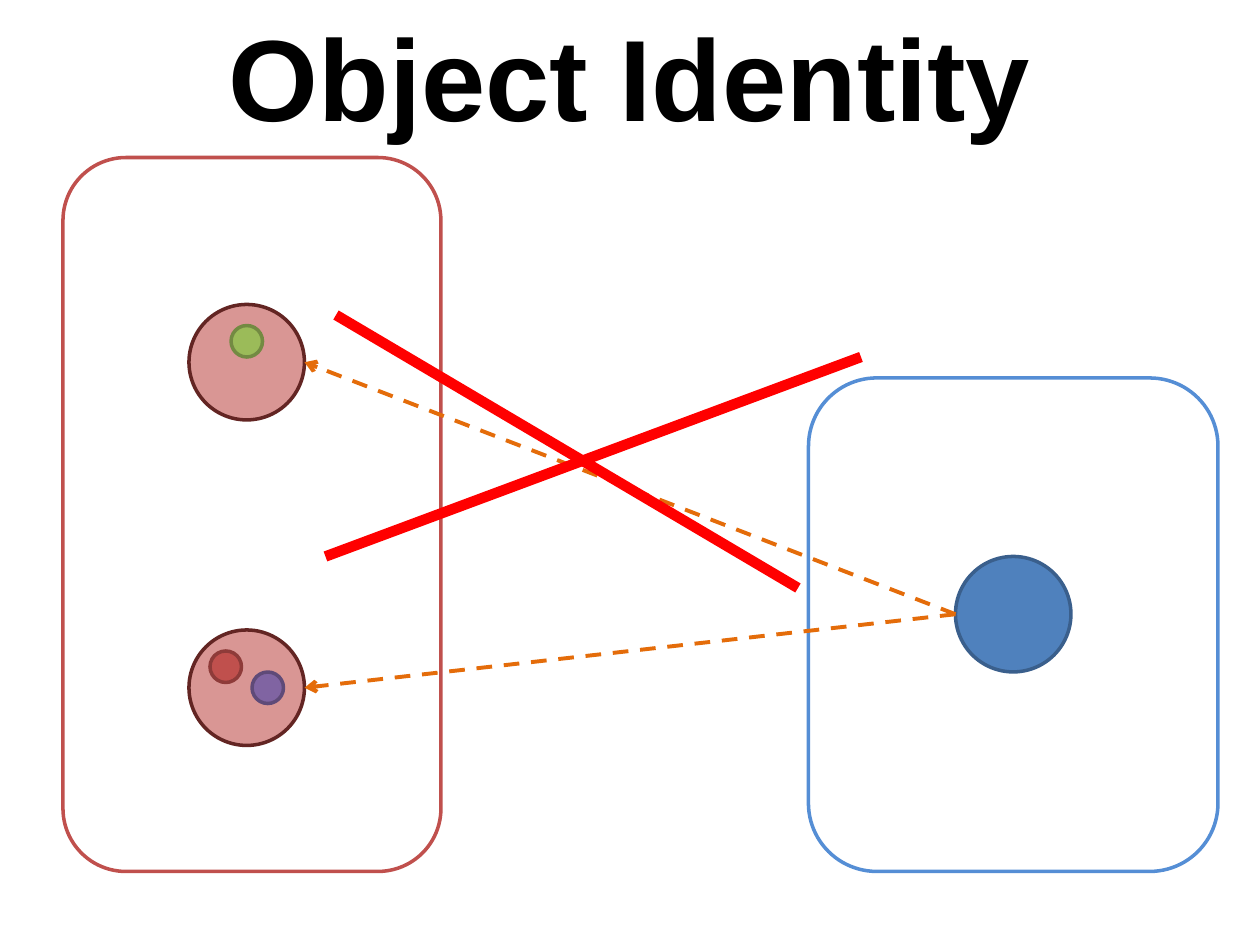
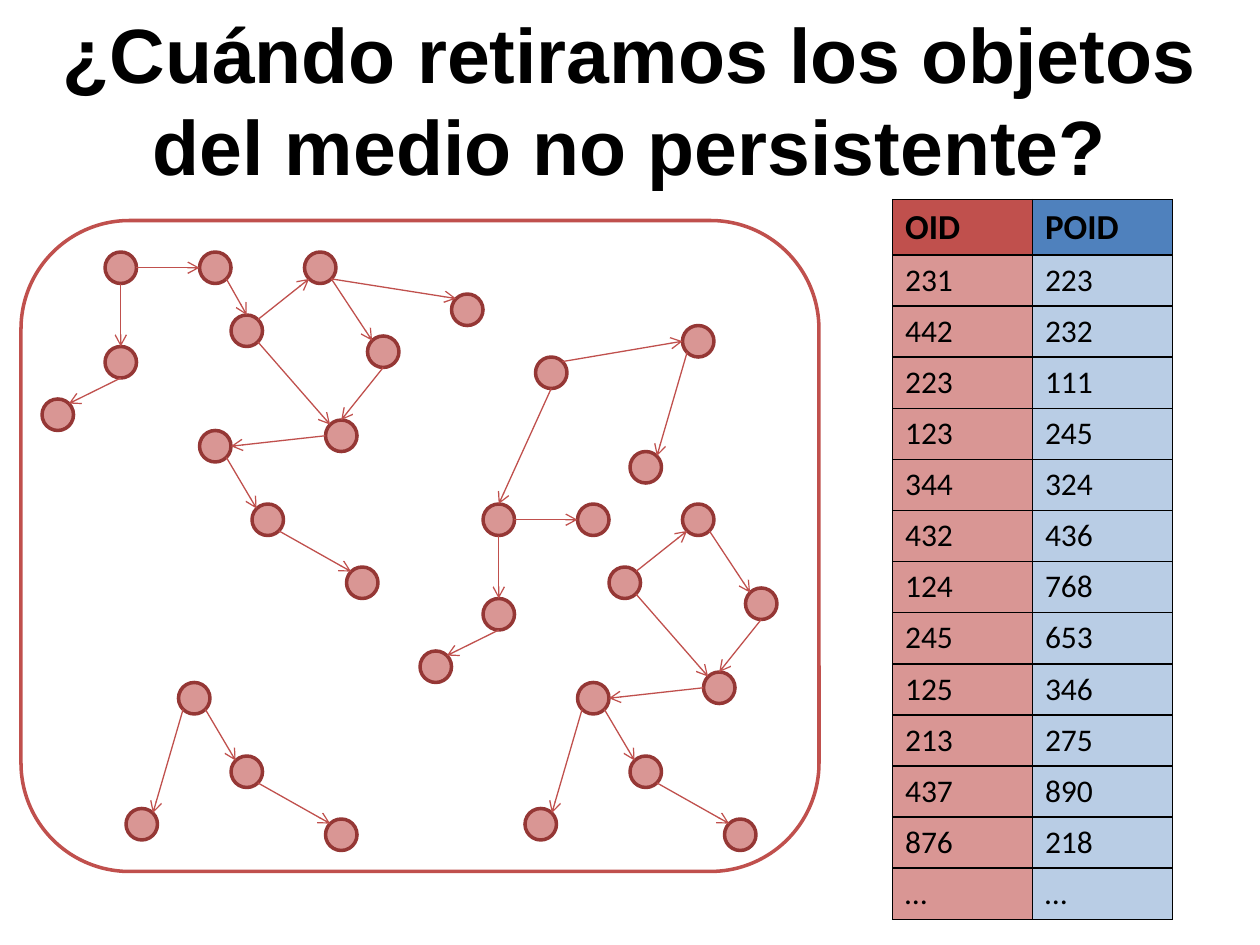
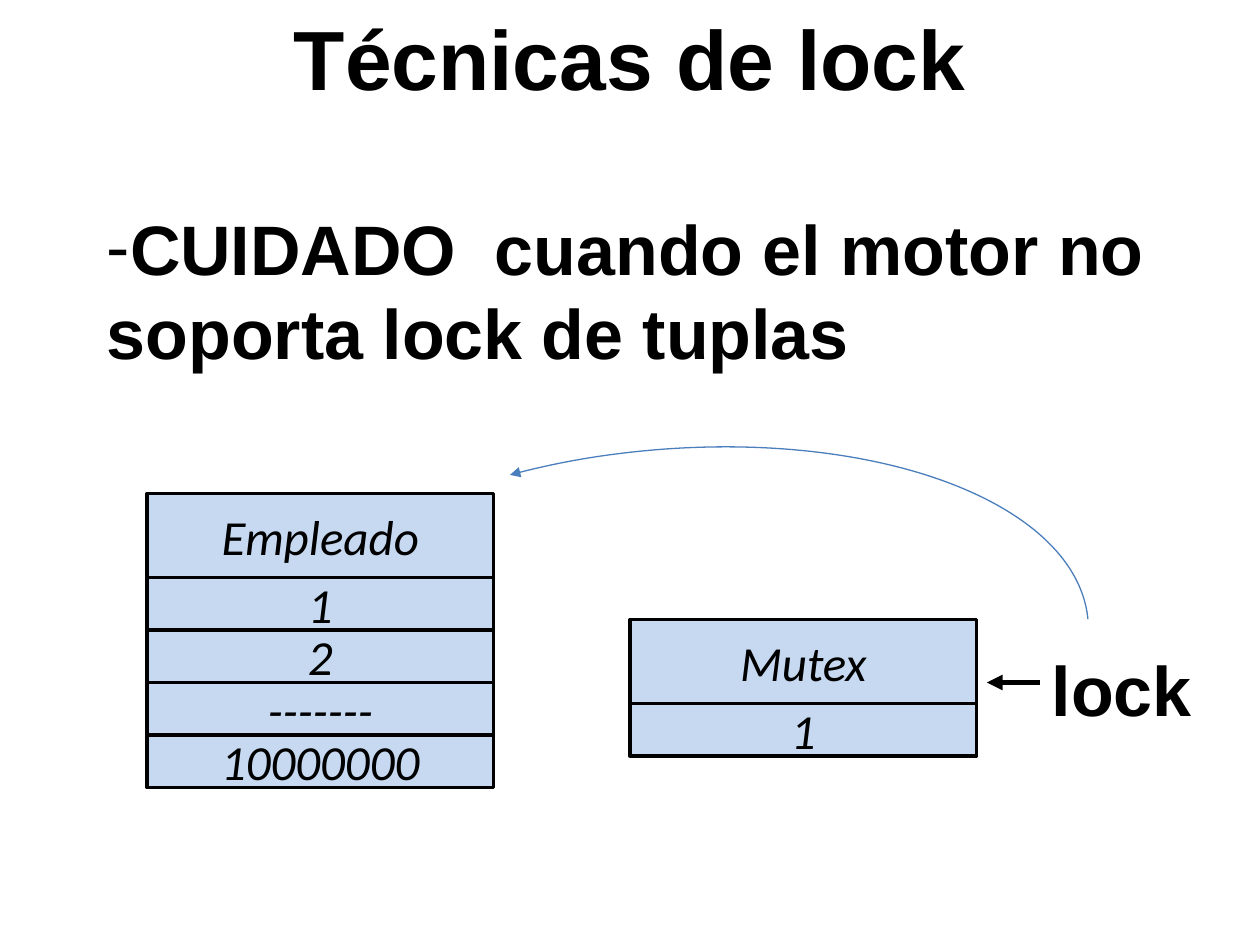
"""Build three slides on object identity, persistence and locking."""
from dataclasses import dataclass
from math import cos, pi, sin
from typing import NamedTuple

from lxml import etree
from pptx import Presentation
from pptx import util as u
from pptx.dml.color import RGBColor
from pptx.enum import dml, shapes, text
from pptx.oxml import ns

INK = {
    "black": "000000", "red": "C0504D", "pink": "D99694", "wine": "632523",
    "brick": "953735", "blue": "4F81BD", "navy": "3A5F8C", "sky": "558ED5",
    "pale": "B9CDE5", "ice": "C6D9F1", "orange": "E46C0A", "alarm": "FF0000",
    "ruby": "8E3B39", "purple": "8064A2", "plum": "5F4A78", "green": "9BBB59",
    "moss": "738A42", "curve": "4B7EBC",
}
SITES = {name: turn * pi / 4 for turn, name in
         enumerate(("e", "se", "s", "sw", "w", "nw", "n", "ne"))}
PRESET = shapes.MSO_SHAPE
Spot = tuple[float, float]


class Area(NamedTuple):
    """Left, top, width and height in grid steps."""
    x: float
    y: float
    w: float
    h: float


@dataclass
class Disc:
    """A circle on the grid."""
    x: float
    y: float
    size: float = 3
    fill: str = "pink"
    edge: str = "brick"

    def site(self, name: str) -> Spot:
        """Return the point of the rim at a compass name."""
        half, turn = self.size / 2, SITES[name]
        return self.x + half + half * cos(turn), self.y + half + half * sin(turn)


class Pen(NamedTuple):
    """How a straight line looks."""
    color: str
    width: float
    tip: str = ""
    dash: bool = False


class Link(NamedTuple):
    """An arrow between rim sites of two named discs."""
    start: str
    out: str
    end: str
    into: str


class Stack(NamedTuple):
    """A headed pile of boxes."""
    x: float
    y: float
    head: str
    rows: tuple[str, ...]


NODES = {
    "A": Disc(10, 24), "B": Disc(19, 24), "C": Disc(10, 33), "D": Disc(22, 30),
    "E": Disc(4, 38), "F": Disc(43, 28), "G": Disc(29, 24), "H": Disc(31, 40),
    "I": Disc(19, 41), "J": Disc(24, 48), "K": Disc(35, 32), "L": Disc(33, 54),
    "M": Disc(51, 34), "U": Disc(65, 31), "V": Disc(60, 43),
    "a": Disc(46, 48), "b": Disc(55, 48), "c": Disc(46, 57), "d": Disc(58, 54),
    "e": Disc(40, 62), "g": Disc(65, 48), "h": Disc(67, 64), "i": Disc(55, 65),
    "j": Disc(60, 72), "k": Disc(71, 56), "l": Disc(69, 78), "m": Disc(50, 77),
    "p": Disc(17, 65), "q": Disc(22, 72), "r": Disc(31, 78), "s": Disc(12, 77),
}
LINKS = [Link(*row.split()) for row in (
    "A e B w", "B se D n", "C s E ne", "A s C n", "D se H nw", "I se J nw",
    "G se K nw", "G se F nw", "D ne G sw", "J se L nw", "H w I e", "K s H n",
    "a e b w", "c s e ne", "a s c n", "d se h nw", "i se j nw", "g se k nw",
    "d ne g sw", "j se l nw", "i sw m ne", "h w i e", "k s h n", "M s a n",
    "p se q nw", "q se r nw", "p sw s ne", "U sw V ne", "M ne U w",
)]
PAIRS = (
    ("OID", "POID"), ("231", "223"), ("442", "232"), ("223", "111"),
    ("123", "245"), ("344", "324"), ("432", "436"), ("124", "768"),
    ("245", "653"), ("125", "346"), ("213", "275"), ("437", "890"),
    ("876", "218"), ("…", "…"),
)
STACKS = (
    Stack(14, 47, "Empleado", ("1", "2", "-------", "10000000")),
    Stack(60, 59, "Mutex", ("1",)),
)


def grid(steps: float) -> u.Cm:
    """Turn grid steps, twelve to the inch, into a length."""
    return u.Cm(steps * 2.54 / 12)


def tint(name: str) -> RGBColor:
    """Look up a colour by name."""
    return RGBColor.from_string(INK[name])


def add_tag(parent, tag: str, **attrs: str):
    """Append a DrawingML child element."""
    return etree.SubElement(parent, ns.qn(tag), attrs)


def style(para, size: float, face: str = "Arial", bold: bool = False,
          slant: bool = False) -> None:
    """Format every run of a paragraph in black."""
    for run in para.runs:
        font = run.font
        font.name, font.size = face, u.Pt(size)
        font.bold, font.italic = bold, slant
        font.color.rgb = tint("black")


def write(shape, words: str, size: float, align=text.PP_ALIGN.LEFT):
    """Put bold heading text at the top of a shape."""
    frame = shape.text_frame
    frame.text = words
    frame.word_wrap = True
    frame.auto_size = text.MSO_AUTO_SIZE.NONE
    frame.vertical_anchor = text.MSO_ANCHOR.TOP
    para = frame.paragraphs[0]
    para.alignment = align
    style(para, size, bold=True)
    return para


def add_page(deck, words: str, size: float, tall: float):
    """Add a slide with a title across its full width."""
    page = deck.slides.add_slide(deck.slide_layouts[5])
    title = page.shapes.title
    title.left = title.top = 0
    title.width, title.height = deck.slide_width, u.Cm(tall)
    write(title, words, size, text.PP_ALIGN.CENTER)
    return page


def add_form(page, kind, area: Area, edge: str, fill: str = "",
             width: float = 2):
    """Draw a preset shape, hollow unless a fill is named."""
    form = page.shapes.add_shape(kind, *map(grid, area))
    form.shadow.inherit = False
    if fill:
        form.fill.solid()
        form.fill.fore_color.rgb = tint(fill)
    else:
        form.fill.background()
    form.line.color.rgb = tint(edge)
    form.line.width = u.Pt(width)
    return form


def add_disc(page, disc: Disc) -> None:
    """Draw one circle."""
    add_form(page, PRESET.FLOWCHART_CONNECTOR,
             Area(disc.x, disc.y, disc.size, disc.size), disc.edge, disc.fill)


def add_line(page, start: Spot, end: Spot, pen: Pen) -> None:
    """Draw a straight line, with a tip at its end if the pen has one."""
    line = page.shapes.add_connector(shapes.MSO_CONNECTOR.STRAIGHT,
                                     *map(grid, (*start, *end)))
    line.line.color.rgb = tint(pen.color)
    line.line.width = u.Pt(pen.width)
    if pen.dash:
        line.line.dash_style = dml.MSO_LINE.DASH
    if pen.tip:
        add_tag(line.line._get_or_add_ln(), "a:tailEnd", type=pen.tip)
    add_tag(line._element.spPr, "a:effectLst")


def add_text(page, area: Area, words: str, size: float):
    """Add a bold text box and return its paragraph."""
    return write(page.shapes.add_textbox(*map(grid, area)), words, size)


def add_stack(page, stack: Stack) -> None:
    """Draw a head box with its rows below."""
    top = stack.y
    for words in (stack.head, *stack.rows):
        tall = 8 if words == stack.head else 5
        box = add_form(page, PRESET.RECTANGLE,
                       Area(stack.x, top, 33, tall), "black", "ice")
        frame = box.text_frame
        frame.text = words
        frame.vertical_anchor = text.MSO_ANCHOR.MIDDLE
        para = frame.paragraphs[0]
        para.alignment = text.PP_ALIGN.CENTER
        style(para, 28, "Calibri", slant=True)
        top += tall


def add_cell(cell, words: str, fill: str, head: bool) -> None:
    """Fill, label and frame one table cell."""
    cell.text = words
    style(cell.text_frame.paragraphs[0], 20 if head else 18, "Calibri", head)
    props = cell._tc.get_or_add_tcPr()
    for side in ("a:lnL", "a:lnR", "a:lnT", "a:lnB"):
        rule = add_tag(props, side, w=str(u.Pt(1)))
        add_tag(add_tag(rule, "a:solidFill"), "a:srgbClr", val=INK["black"])
    cell.fill.solid()
    cell.fill.fore_color.rgb = tint(fill)


def add_pairs(page) -> None:
    """Draw the table that maps OID to POID."""
    area = Area(85, 19, 26.64, 67.6)
    table = page.shapes.add_table(len(PAIRS), 2, *map(grid, area)).table
    for col in table.columns:
        col.width = u.Cm(2.82)
    for at, pair in enumerate(PAIRS):
        head = at == 0
        table.rows[at].height = u.Cm(1.1 if head else 1.02)
        fills = ("red", "blue") if head else ("pink", "pale")
        for col, (words, fill) in enumerate(zip(pair, fills)):
            add_cell(table.cell(at, col), words, fill, head)


def draw_match(deck) -> None:
    """Slide with one object that points at two others."""
    page = add_page(deck, "Object Identity", 66, 3.07)
    add_form(page, PRESET.ROUNDED_RECTANGLE, Area(6, 15, 36, 68), "red")
    add_form(page, PRESET.ROUNDED_RECTANGLE, Area(77, 36, 39, 47), "sky")
    source = Disc(91, 53, 11, "blue", "navy")
    goals = [Disc(18, top, 11, edge="wine") for top in (29, 60)]
    parts = [Disc(20, 62, fill="red", edge="ruby"),
             Disc(24, 64, fill="purple", edge="plum"),
             Disc(22, 31, fill="green", edge="moss")]
    for disc in (source, *goals, *parts):
        add_disc(page, disc)
    for goal in goals:
        add_line(page, source.site("w"), goal.site("e"),
                 Pen("orange", 2.25, "arrow", True))
    cross = Pen("alarm", 6)
    add_line(page, (31, 53), (82, 34), cross)
    add_line(page, (32, 30), (76, 56), cross)


def draw_graph(deck) -> None:
    """Slide with the object graph and the table of identifiers."""
    page = add_page(
        deck, "¿Cuándo retiramos los objetos del medio no persistente?", 44, 4.01)
    add_form(page, PRESET.ROUNDED_RECTANGLE, Area(2, 21, 76, 62), "red")
    for disc in NODES.values():
        add_disc(page, disc)
    for link in LINKS:
        add_line(page, NODES[link.start].site(link.out),
                 NODES[link.end].site(link.into), Pen("red", 0.75, "arrow"))
    add_pairs(page)


def draw_lock(deck) -> None:
    """Slide with the mutex that stands in for a tuple lock."""
    page = add_page(deck, "Técnicas de lock", 48, 2.31)
    para = add_text(page, Area(9, 19, 103, 25.4),
                    "CUIDADO  cuando el motor no soporta lock de tuplas", 40)
    props = para._p.get_or_add_pPr()
    add_tag(props, "a:buFont", typeface="Arial")
    add_tag(props, "a:buChar", char="-")
    for stack in STACKS:
        add_stack(page, stack)
    add_line(page, (99, 65), (94, 65), Pen("black", 3, "triangle"))
    add_text(page, Area(99, 61, 21, 9.24), "lock", 40)
    arc = add_form(page, PRESET.ARC, Area(22.8, 42.84, 81, 40), "curve",
                   width=0.75)
    arc.adjustments[0], arc.adjustments[1] = 141.36, 0
    arc.rotation = 354.5
    add_tag(arc.line._get_or_add_ln(), "a:headEnd", type="triangle")


def main() -> None:
    """Build and save the deck."""
    deck = Presentation()
    deck.slide_width, deck.slide_height = u.Cm(25.4), u.Cm(19.05)
    for draw in (draw_match, draw_graph, draw_lock):
        draw(deck)
    deck.save("out.pptx")


if __name__ == "__main__":
    main()
